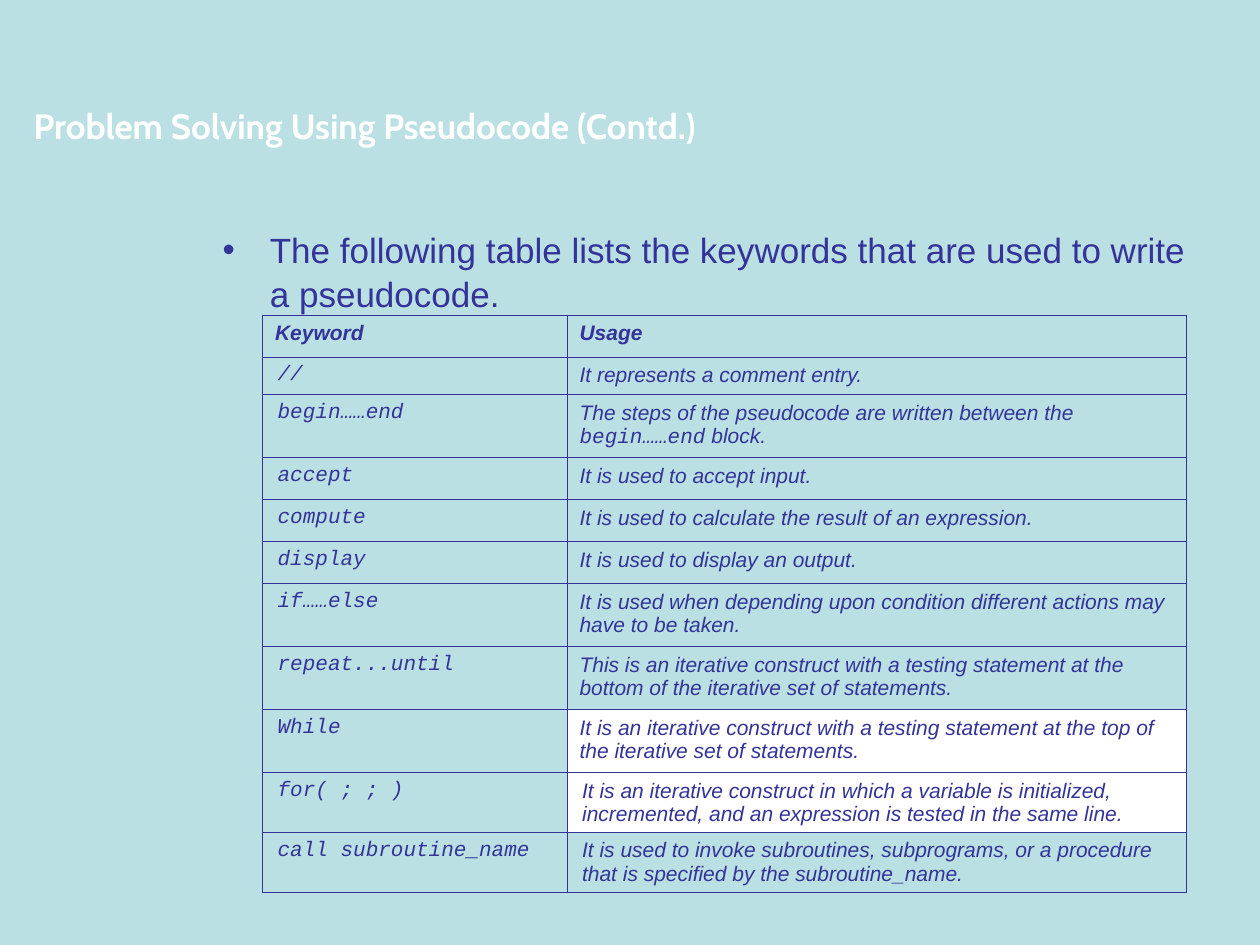
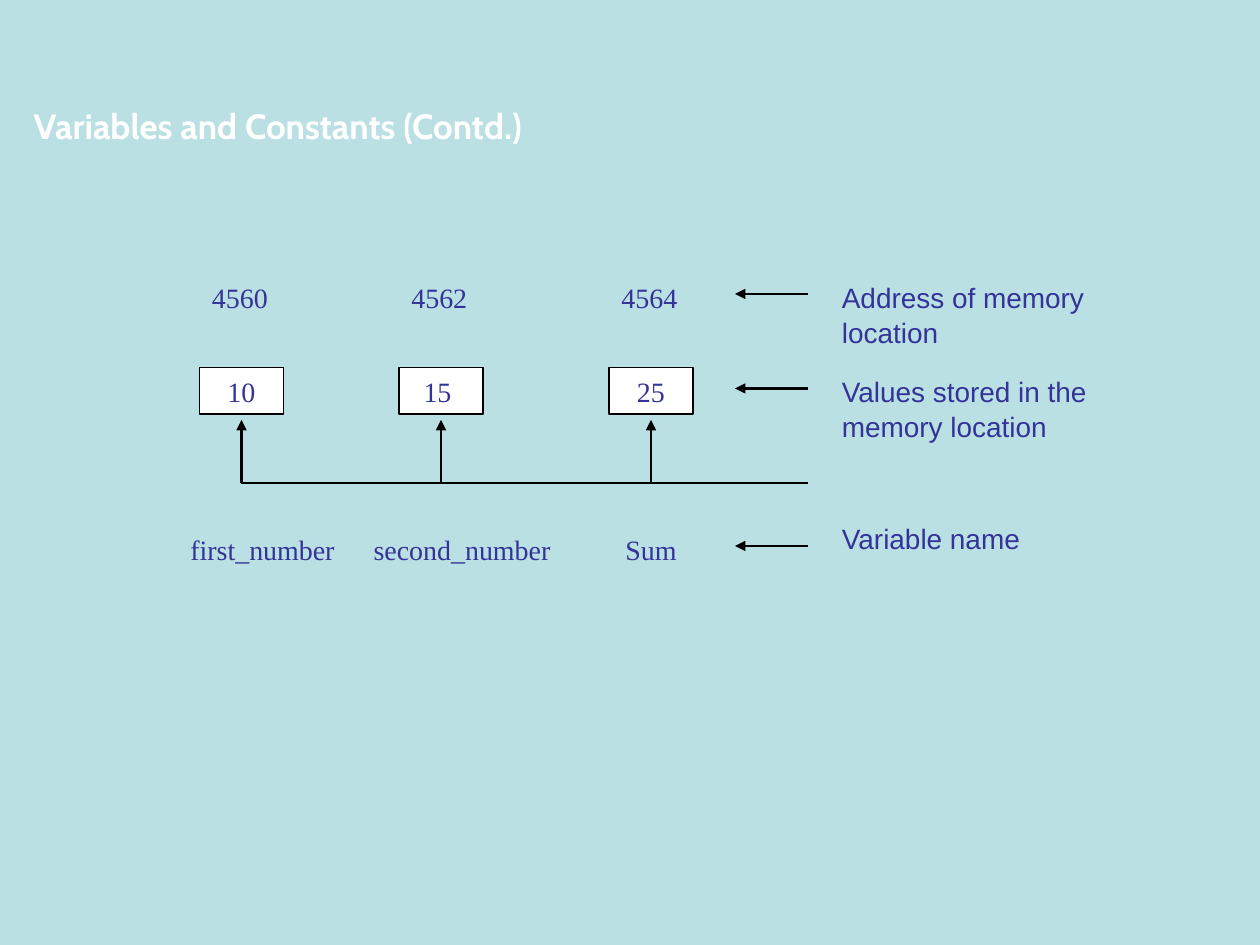
import copy
import dataclasses

import lxml.etree
import pptx
import pptx.dml.color
import pptx.enum.shapes
import pptx.enum.text
import pptx.oxml.ns
import pptx.util

ALIGN = pptx.enum.text.PP_ALIGN
RECTANGLE = pptx.enum.shapes.MSO_SHAPE.RECTANGLE
STRAIGHT = pptx.enum.shapes.MSO_CONNECTOR.STRAIGHT
COLUMNS, ROWS = 120, 90


@dataclasses.dataclass(frozen=True)
class Theme:
    """Colours, fonts and type sizes shared by all slides."""
    back: str = "BBE0E3"
    ink: str = "333399"
    white: str = "FFFFFF"
    black: str = "000000"
    heading: str = "Cabin"
    sans: str = "Arial"
    code: str = "Courier New"
    serif: str = "Times New Roman"
    large: int = 20
    medium: int = 16
    small: int = 12
    leading: float = 1.04


THEME = Theme()
LINE_HEIGHT = 4.44

KEYWORDS = [
    ("//", "It represents a comment entry."),
    ("begin……end", [("The steps of the pseudocode are written between the ", THEME.sans), "\n",
                    ("begin……end", THEME.code), (" block.", THEME.sans)]),
    ("accept", "It is used to accept input."),
    ("compute", "It is used to calculate the result of an expression."),
    ("display", "It is used to display an output."),
    ("if……else", "It is used when depending upon condition different actions may have to be taken."),
    ("repeat...until", "This is an iterative construct with a testing statement at the bottom "
                       "of the iterative set of statements."),
    ("While", "It is an iterative construct with a testing statement at the top "
              "of the iterative set of statements."),
    ("for( ; ; )", "It is an iterative construct in which a variable is initialized, incremented, "
                   "and an expression is tested in the same line."),
    ("call subroutine_name", "It is used to invoke subroutines, subprograms, or a procedure "
                             "that is specified by the subroutine_name."),
]
KEYWORD_ROWS = [4, 3.6, 6, 4, 4, 4, 6, 6, 6, 5, 4.8]
WHITE_USAGES = ("While", "for( ; ; )")
INDENTED_USAGES = ("for( ; ; )", "call subroutine_name")

VARIABLES = [
    (19, "4560", " 10 ", "first_number", 15, 20),
    (38, "4562", "15 ", "second_number", 34, 20),
    (58, "4564", " 25 ", "Sum", 56, 12),
]
LABELS = [
    ("Address of memory location", 0, 2, 27, 7.68),
    ("Values stored in the memory location", 9, 11, 26, 7.68),
    ("Variable name", 23, 26, 28, LINE_HEIGHT),
]


def colour(code):
    """Turn a hex code into a colour."""
    return pptx.dml.color.RGBColor.from_string(code)


def grid(*lengths):
    """Turn grid units into slide lengths; both axes use the same square unit."""
    return [pptx.util.Emu(round(pptx.util.Inches(10) * length / COLUMNS)) for length in lengths]


def write(frame, text, font=THEME.sans, size=THEME.medium, ink=THEME.ink, bold=False, italic=False,
          align=ALIGN.LEFT, before=0, after=0, leading=1.0, indent=None):
    """Write a string, or a list of (text, font) pairs and line breaks, as one formatted paragraph."""
    para = frame.paragraphs[0]
    para.alignment = align
    para.space_before, para.space_after = pptx.util.Pt(before), pptx.util.Pt(after)
    para.line_spacing = leading
    if indent is not None:
        para._p.get_or_add_pPr().set("marL", str(pptx.util.Inches(indent)))
    for part in [(text, font)] if isinstance(text, str) else text:
        if part == "\n":
            para.add_line_break()
            para._p[-1].append(copy.deepcopy(span.font._element))
            continue
        span = para.add_run()
        span.text, span.font.name = part
        span.font.size = pptx.util.Pt(size)
        span.font.bold, span.font.italic = bold, italic
        span.font.color.rgb = colour(ink)


def settle(frame):
    """Wrap the text of a frame and pin it to the top at its own size."""
    frame.word_wrap = True
    frame.auto_size = pptx.enum.text.MSO_AUTO_SIZE.NONE
    frame.vertical_anchor = pptx.enum.text.MSO_ANCHOR.TOP


def move(shape, box):
    """Place a shape in a box given in grid units."""
    shape.left, shape.top, shape.width, shape.height = grid(*box)


def add_page(deck, layout, title):
    """Add a slide with the shared title."""
    page = deck.slides.add_slide(deck.slide_layouts.get_by_name(layout))
    heading = page.shapes.title
    move(heading, (2, 9.33, 90, 5.33))
    settle(heading.text_frame)
    write(heading.text_frame, title, font=THEME.heading, size=THEME.large, ink=THEME.white,
          bold=True, before=12.5)
    return page


def add_text(page, box, text, **looks):
    """Add a text box in the diagram's type size."""
    shape = page.shapes.add_textbox(*grid(*box))
    settle(shape.text_frame)
    write(shape.text_frame, text, before=10, leading=THEME.leading, **looks)


def add_line(shapes, start, end, arrow=True):
    """Add a black line, with an arrowhead at its end if wanted."""
    line = shapes.add_connector(STRAIGHT, *grid(*start, *end))
    line.line.color.rgb = colour(THEME.black)
    line.line.width = pptx.util.Pt(1.25)
    if arrow:
        stroke = line.line._get_or_add_ln()
        lxml.etree.SubElement(stroke, pptx.oxml.ns.qn("a:tailEnd"), type="triangle")
    lxml.etree.SubElement(line._element.spPr, pptx.oxml.ns.qn("a:effectLst"))


def style_cell(cell, fill=None, margin=0.1):
    """Give a cell thin borders, side margins and an optional fill."""
    properties = cell._tc.get_or_add_tcPr()
    for side in "LRTB":
        edge = lxml.etree.SubElement(properties, pptx.oxml.ns.qn(f"a:ln{side}"),
                                     w=str(pptx.util.Pt(0.45)))
        paint = lxml.etree.SubElement(edge, pptx.oxml.ns.qn("a:solidFill"))
        lxml.etree.SubElement(paint, pptx.oxml.ns.qn("a:srgbClr"), val=THEME.ink)
    cell.margin_left = cell.margin_right = pptx.util.Inches(margin)
    if fill:
        cell.fill.solid()
        cell.fill.fore_color.rgb = colour(fill)
    else:
        cell.fill.background()


def add_keyword_table(page, box):
    """Add the table of pseudocode keywords."""
    table = page.shapes.add_table(len(KEYWORD_ROWS), 2, *grid(*box)).table
    table.first_row = table.horz_banding = False
    for column, width in zip(table.columns, grid(29, box[2] - 29)):
        column.width = width
    for row, height in zip(table.rows, grid(*KEYWORD_ROWS)):
        row.height = height
    indented = {"indent": 0.04, "before": 6, "after": 7}
    for column, text in enumerate(("Keyword", "Usage")):
        cell = table.cell(0, column)
        style_cell(cell)
        write(cell.text_frame, text, size=THEME.small, bold=True, italic=True)
    for row, (keyword, usage) in enumerate(KEYWORDS, start=1):
        name, use = table.cell(row, 0), table.cell(row, 1)
        inset = keyword in INDENTED_USAGES
        style_cell(name, margin=0.08)
        style_cell(use, THEME.white if keyword in WHITE_USAGES else None, 0.08 if inset else 0.1)
        write(name.text_frame, keyword, font=THEME.code, size=THEME.small, italic=True, **indented)
        write(use.text_frame, usage, size=THEME.small, italic=True, **(indented if inset else {}))


def add_value_box(page, box, value):
    """Add a white memory cell holding a value."""
    shape = page.shapes.add_shape(RECTANGLE, *grid(*box))
    shape.shadow.inherit = False
    shape.fill.solid()
    shape.fill.fore_color.rgb = colour(THEME.white)
    shape.line.color.rgb = colour(THEME.black)
    shape.line.width = pptx.util.Pt(1)
    settle(shape.text_frame)
    write(shape.text_frame, value, font=THEME.serif, align=ALIGN.CENTER, before=10,
          leading=THEME.leading)


def add_variables(page, top):
    """Add each variable's address, value and name, and the bracket that joins them."""
    bracket = page.shapes.add_group_shape().shapes
    base = top + 20
    for left, address, value, name, name_left, name_width in VARIABLES:
        add_text(page, (left, top, 8, LINE_HEIGHT), address, font=THEME.serif)
        add_value_box(page, (left, top + 9, 8, LINE_HEIGHT), value)
        add_text(page, (name_left, top + 24, name_width, LINE_HEIGHT), name,
                 font=THEME.serif, align=ALIGN.CENTER)
        add_line(bracket, (left + 4, base), (left + 4, base - 6))
    add_line(bracket, (VARIABLES[0][0] + 4, base), (77, base), arrow=False)


def add_labels(page, left, top):
    """Add the explanations with arrows pointing left."""
    for text, offset, arrow_offset, width, height in LABELS:
        add_line(page.shapes, (left + 7, top + arrow_offset), (left, top + arrow_offset))
        add_text(page, (left + 9, top + offset, width, height), text)


def build_keywords(deck):
    """Build the slide that lists the keywords."""
    page = add_page(deck, "Title and Content", "Problem Solving Using Pseudocode (Contd.)")
    body = page.placeholders[1]
    move(body, (20, 21, 96, 60))
    settle(body.text_frame)
    write(body.text_frame, "The following table lists the keywords that are used to write a pseudocode.",
          size=THEME.large, before=5, leading=THEME.leading)
    add_keyword_table(page, (25, 30, 88, sum(KEYWORD_ROWS)))


def build_memory(deck):
    """Build the slide that shows variables in memory."""
    page = add_page(deck, "Title Only", "Variables and Constants (Contd.)")
    add_variables(page, 26)
    add_labels(page, 70, 26)


def main():
    """Build and save the deck."""
    deck = pptx.Presentation()
    deck.slide_width, deck.slide_height = grid(COLUMNS, ROWS)
    backdrop = deck.slide_master.background.fill
    backdrop.solid()
    backdrop.fore_color.rgb = colour(THEME.back)
    build_keywords(deck)
    build_memory(deck)
    deck.save("out.pptx")


if __name__ == "__main__":
    main()
